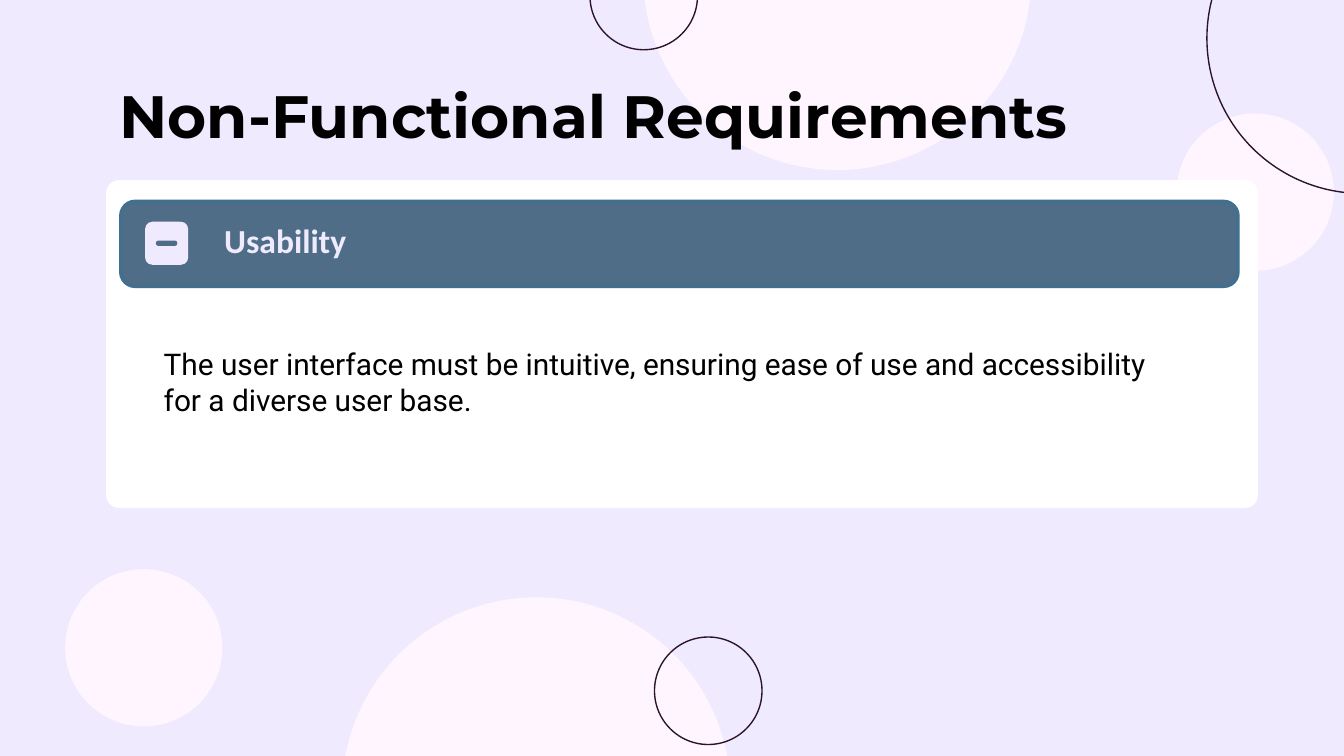
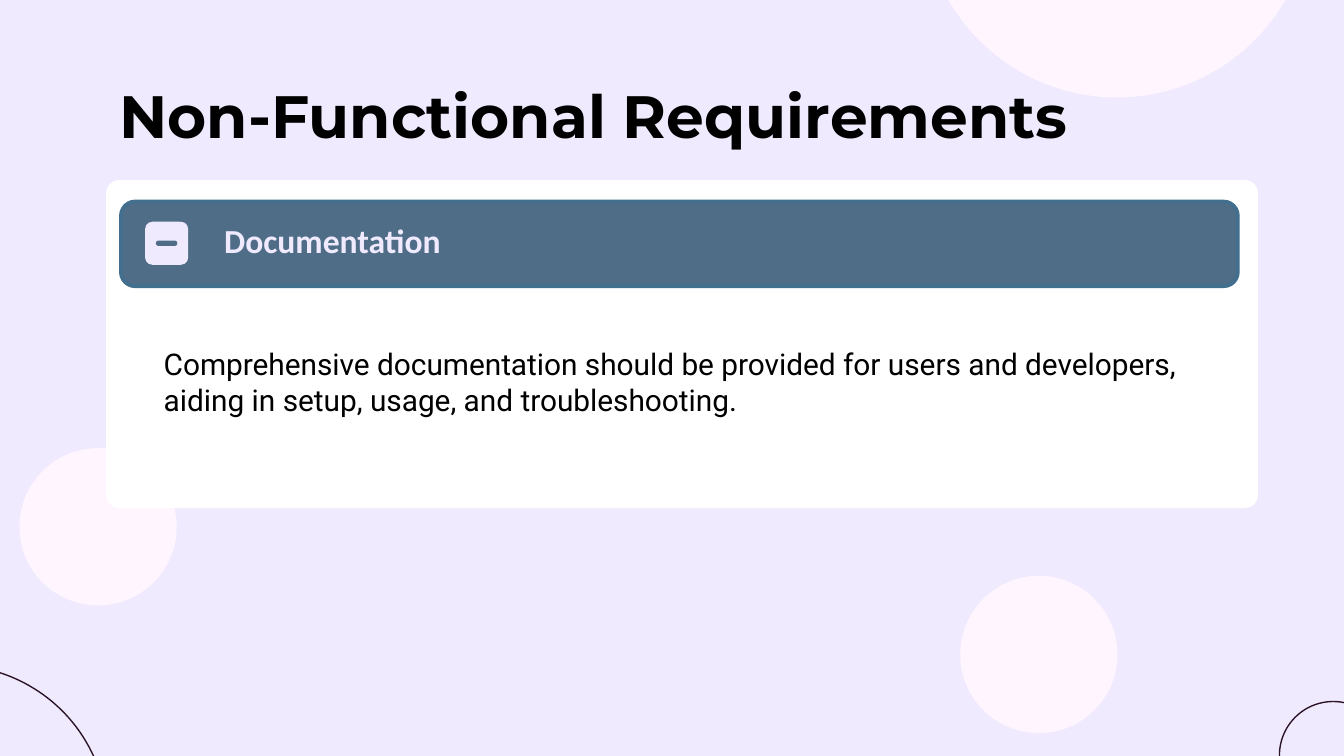
from pptx import Presentation, util as u
from pptx.dml.color import RGBColor
from pptx.enum import shapes, text

PX = 9144  # 100 px to the inch
BACKGROUND, BLUSH, PLUM = "F0EAFE", "FFF5FE", "2C1426"
WHITE, BLACK, SLATE, TEAL = "FFFFFF", "000000", "506D88", "416F8D"
SMALL_DISC, LARGE_DISC = 116, 288
SMALL_RING, LARGE_RING = 80, 231
TITLE = "Non-Functional Requirements"

REQUIREMENTS = [
    dict(
        heading="Usability",
        body="The user interface must be intuitive, ensuring ease of use and "
             "accessibility for a diverse user base.",
        discs=[(876, 85, SMALL_DISC), (49, 424, SMALL_DISC),
               (255, 445, LARGE_DISC), (479, -162, LARGE_DISC)],
        rings=[(487, 474, SMALL_RING), (439, -43, SMALL_RING),
               (898, -87, LARGE_RING)],
    ),
    dict(
        heading="Documentation",
        body="Comprehensive documentation should be provided for users and "
             "developers, aiding in setup, usage, and troubleshooting.",
        discs=[(715, 429, SMALL_DISC), (687, -216, LARGE_DISC),
               (15, 334, SMALL_DISC)],
        rings=[(952, 522, SMALL_RING), (-151, 495, LARGE_RING)],
    ),
]


def rgb(color):
    return RGBColor.from_string(color)


def emu(*lengths):
    return [u.Emu(n * PX) for n in lengths]


def add_shape(parent, kind, box, fill=None, line=None, width=0.75, adj=None):
    sp = parent.shapes.add_shape(kind, *emu(*box))
    sp.shadow.inherit = False
    if fill:
        sp.fill.solid()
        sp.fill.fore_color.rgb = rgb(fill)
    else:
        sp.fill.background()
    if line:
        sp.line.color.rgb = rgb(line)
        sp.line.width = u.Pt(width)
    else:
        sp.line.fill.background()
    if adj is not None:
        sp.adjustments[0] = adj
    return sp


def add_text(s, content, box, font, size, color=BLACK, bold=False,
             anchor=text.MSO_ANCHOR.TOP):
    tf = s.shapes.add_textbox(*emu(*box)).text_frame
    tf.word_wrap = True
    tf.vertical_anchor = anchor
    tf.margin_left, tf.margin_top, tf.margin_right, tf.margin_bottom = emu(10, 10, 10, 10)
    r = tf.paragraphs[0].add_run()
    r.text = content
    r.font.name, r.font.size, r.font.bold = font, u.Pt(size), bold
    r.font.color.rgb = rgb(color)


def add_circles(s, discs, rings):
    oval = shapes.MSO_SHAPE.OVAL
    for x, y, d in discs:
        add_shape(s, oval, (x, y, d, d), fill=BLUSH, line=BLUSH)
    for x, y, d in rings:
        add_shape(s, oval, (x, y, d, d), line=PLUM)


def add_minus_icon(s, x, y, size):
    rounded = shapes.MSO_SHAPE.ROUNDED_RECTANGLE
    icon = s.shapes.add_group_shape()
    add_shape(icon, rounded, (x, y, size, size), fill=BACKGROUND)
    add_shape(icon, rounded, (x + size // 4, y + 14, size // 2, 4), fill=SLATE, adj=0.5)


def add_requirement_card(s, box, heading, body):
    x, y, w, h = box
    rounded = shapes.MSO_SHAPE.ROUNDED_RECTANGLE
    add_shape(s, rounded, box, fill=WHITE, adj=0.04)
    add_shape(s, rounded, (x + 11, y + 16, w - 26, 63), fill=SLATE, line=TEAL, width=2)
    add_text(s, body, (x + 33, y + 113, w - 80, 71), "Roboto", 16)
    add_text(s, heading, (x + 78, y + 24, 406, 46), "Calibri", 18, BACKGROUND,
             bold=True, anchor=text.MSO_ANCHOR.BOTTOM)
    add_minus_icon(s, x + 29, y + 31, 32)


def add_requirement_slide(prs, heading, body, discs, rings):
    s = prs.slides.add_slide(prs.slide_layouts[6])
    s.background.fill.solid()
    s.background.fill.fore_color.rgb = rgb(BACKGROUND)
    add_circles(s, discs, rings)
    add_text(s, TITLE, (79, 49, 843, 63), "Montserrat", 32, bold=True)
    add_requirement_card(s, (79, 134, 857, 244), heading, body)


def main():
    prs = Presentation()
    prs.slide_width = u.Emu(1000 * PX)
    prs.slide_height = u.Emu(prs.slide_width * 9 // 16)
    for requirement in REQUIREMENTS:
        add_requirement_slide(prs, **requirement)
    prs.save("out.pptx")


if __name__ == "__main__":
    main()
